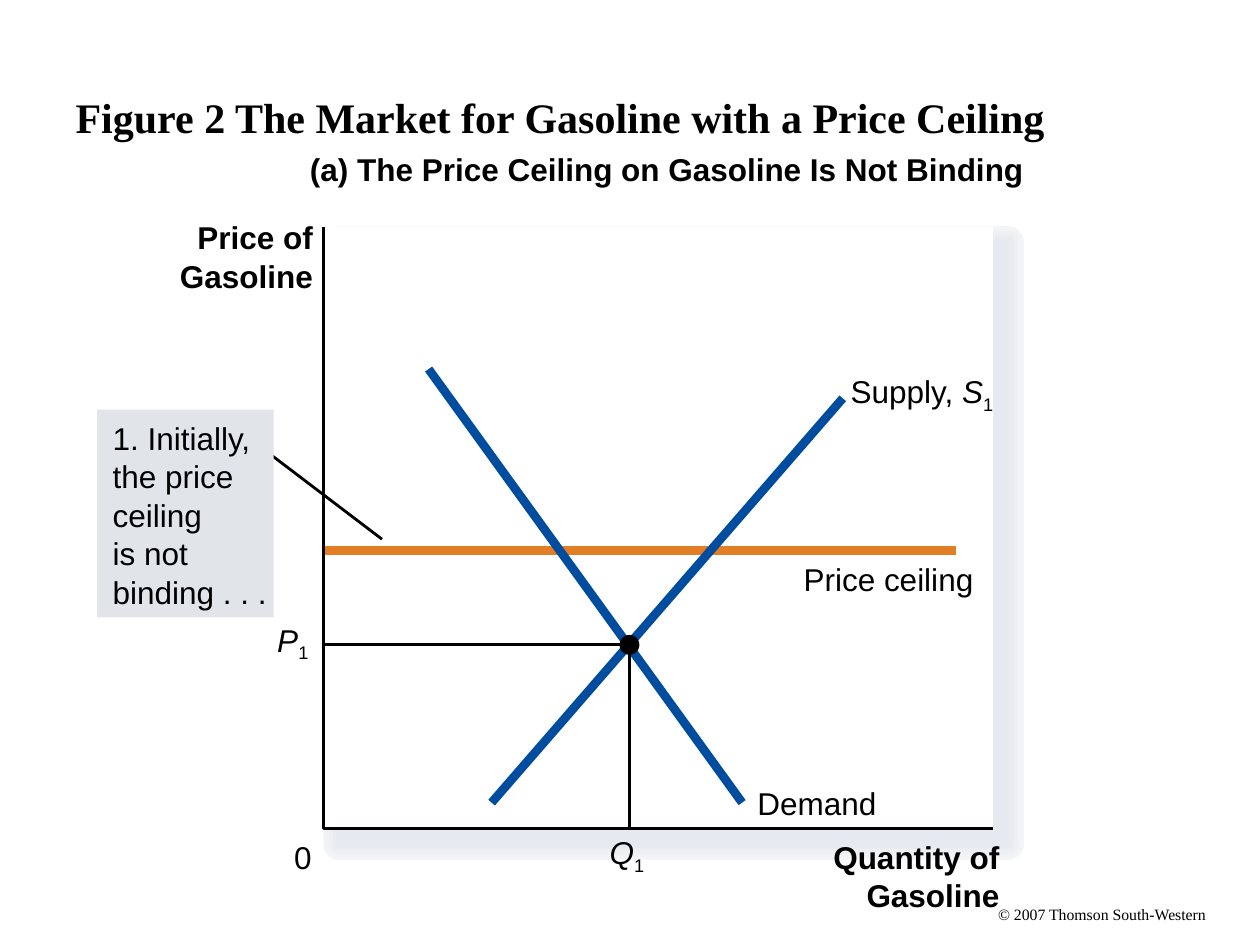
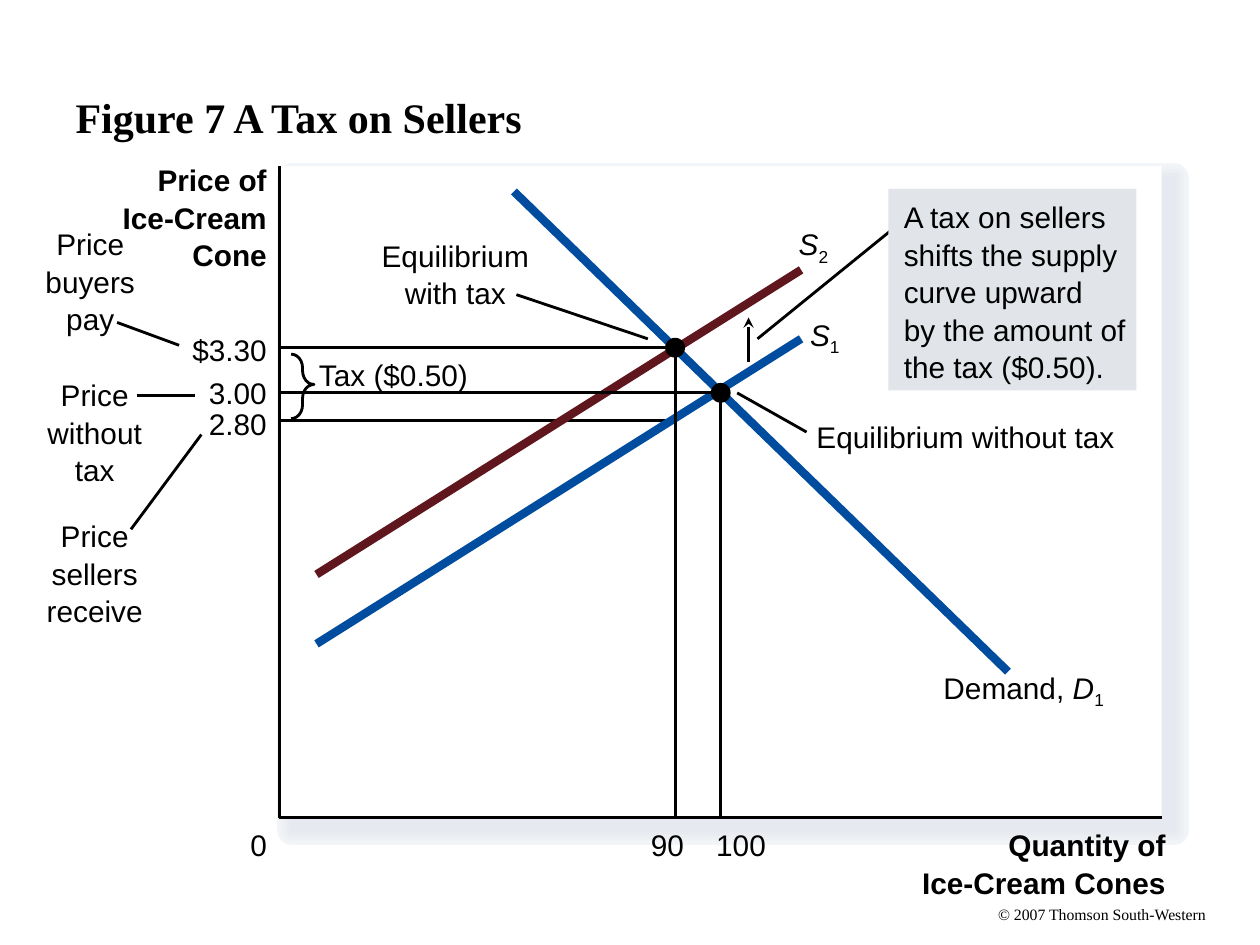
import functools

import lxml.etree
import pptx
import pptx.dml.color
import pptx.enum.shapes
import pptx.enum.text
import pptx.oxml.ns
import pptx.util

Cm = pptx.util.Cm
Pt = pptx.util.Pt
RGBColor = pptx.dml.color.RGBColor
MSO_SHAPE = pptx.enum.shapes.MSO_SHAPE
PP_ALIGN = pptx.enum.text.PP_ALIGN
qn = pptx.oxml.ns.qn

BLACK = RGBColor(0x00, 0x00, 0x00)
WHITE = RGBColor(0xFF, 0xFF, 0xFF)
BLUE = RGBColor(0x00, 0x4C, 0x9F)
MAROON = RGBColor(0x5F, 0x16, 0x1D)
ORANGE = RGBColor(0xE1, 0x7E, 0x26)
CALLOUT_GRAY = RGBColor(0xE1, 0xE5, 0xE9)
SHADOW_TINTS = [
    RGBColor.from_string(tint)
    for tint in ("F3F6F9", "F2F4F8", "F1F4F7", "F0F2F5", "EEF1F4", "EDEFF3",
                 "EBEEF2", "EAECF1", "E9EBF0", "E7EAEF", "E6E9EF")
]

THIN = 1.62
DOT_SIZE = 0.4
ANCHOR_SHARE = {PP_ALIGN.LEFT: 0, PP_ALIGN.CENTER: 0.5, PP_ALIGN.RIGHT: 1}


def style_paragraph(paragraph, size, font="Arial", bold=False,
                    align=PP_ALIGN.LEFT, pitch=None):
    paragraph.alignment = align
    if pitch:
        paragraph.line_spacing = Pt(pitch)
    paragraph.font.name = font
    paragraph.font.size = Pt(size)
    paragraph.font.bold = bold
    paragraph.font.color.rgb = BLACK


def fill_text(frame, text, left=0, top=0, **style):
    frame.word_wrap = True
    frame.vertical_anchor = pptx.enum.text.MSO_ANCHOR.TOP
    frame.margin_left, frame.margin_top = Cm(left), Cm(top)
    frame.margin_right = frame.margin_bottom = 0
    frame.text = text
    for paragraph in frame.paragraphs:
        style_paragraph(paragraph, **style)


def add_label(slide, text, x, y, width=4, align=PP_ALIGN.LEFT, **style):
    left = x - width * ANCHOR_SHARE[align]
    height = 0.8 * (text.count("\n") + 1)
    label = slide.shapes.add_textbox(Cm(left), Cm(y), Cm(width), Cm(height))
    fill_text(label.text_frame, text, align=align, **style)
    return label


def add_symbol(slide, prefix, letter, index, x, y, **style):
    label = add_label(slide, prefix, x, y, **style)
    paragraph = label.text_frame.paragraphs[0]
    variable = paragraph.add_run()
    variable.text = letter
    variable.font.italic = True
    subscript = paragraph.add_run()
    subscript.text = index
    subscript._r.get_or_add_rPr().set("baseline", "-25000")


def add_title(slide, text):
    title = slide.shapes.title
    title.left, title.top = Cm(1.27), Cm(0.76)
    title.width, title.height = Cm(22.86), Cm(3.18)
    title.text_frame.text = text
    title.text_frame.vertical_anchor = pptx.enum.text.MSO_ANCHOR.MIDDLE
    style_paragraph(title.text_frame.paragraphs[0], 24, "Times New Roman", True)


def add_copyright(slide):
    notice = add_label(slide, "© 2007 Thomson South-Western", 20.12, 18.24, 4.5,
                       size=9, font="Times New Roman")
    slide.slide_layout.shapes.element.append(notice.element)


def add_filled(slide, kind, x, y, width, height, color, outline=None):
    shape = slide.shapes.add_shape(kind, Cm(x), Cm(y), Cm(width), Cm(height))
    shape.shadow.inherit = False
    shape.fill.solid()
    shape.fill.fore_color.rgb = color
    if outline:
        shape.line.color.rgb = color
        shape.line.width = Pt(outline)
    else:
        shape.line.fill.background()
    return shape


def add_panel(slide, panel, offset, widest):
    x, y, width, height = panel
    step = (widest - THIN) / (len(SHADOW_TINTS) - 1)
    for layer, tint in enumerate(SHADOW_TINTS):
        add_filled(slide, MSO_SHAPE.RECTANGLE, x + offset, y + offset,
                   width, height, tint, widest - layer * step)
    add_filled(slide, MSO_SHAPE.RECTANGLE, *panel, WHITE)


def add_outline(slide, points):
    corners = [(Cm(x), Cm(y)) for x, y in points]
    builder = slide.shapes.build_freeform(*corners[0])
    builder.add_line_segments(corners[1:], close=False)
    outline = builder.convert_to_shape()
    outline.shadow.inherit = False
    outline.fill.background()
    outline.line.color.rgb = BLACK
    outline.line.width = Pt(THIN)


def add_axes(slide, panel):
    x, y, width, height = panel
    add_outline(slide, [(x, y), (x, y + height), (x + width, y + height)])


def add_equilibrium(slide, panel, x, y):
    left, top, _, height = panel
    add_outline(slide, [(x, top + height), (x, y), (left, y)])
    add_filled(slide, MSO_SHAPE.OVAL, x - DOT_SIZE / 2, y - DOT_SIZE / 2,
               DOT_SIZE, DOT_SIZE, BLACK)


def add_line(slide, start, end, color=BLACK, width=THIN, arrow=False):
    line = slide.shapes.add_connector(
        pptx.enum.shapes.MSO_CONNECTOR.STRAIGHT,
        *(Cm(value) for value in (*start, *end)))
    line.line.color.rgb = color
    line.line.width = Pt(width)
    properties = line.element.spPr
    if arrow:
        outline = properties.find(qn("a:ln"))
        lxml.etree.SubElement(outline, qn("a:tailEnd"), type="stealth")
    lxml.etree.SubElement(properties, qn("a:effectLst"))


def add_callout(slide, text, box, leader, **style):
    add_line(slide, *leader)
    callout = add_filled(slide, MSO_SHAPE.RECTANGLE, *box, CALLOUT_GRAY)
    fill_text(callout.text_frame, text, left=0.31, top=0.17, **style)


def add_brace(slide, x, y, width, height):
    brace = slide.shapes.add_shape(MSO_SHAPE.RIGHT_BRACE,
                                   Cm(x), Cm(y), Cm(width), Cm(height))
    brace.shadow.inherit = False
    brace.adjustments[0] = 0.6
    brace.adjustments[1] = 0.47
    brace.fill.background()
    brace.line.color.rgb = BLACK
    brace.line.width = Pt(THIN)


def build_price_ceiling(slide):
    panel = (6.53, 4.57, 13.49, 12.14)
    style = {"size": 18, "pitch": 22}
    label = functools.partial(add_label, slide, **style)
    symbol = functools.partial(add_symbol, slide, **style)
    right = functools.partial(label, align=PP_ALIGN.RIGHT)
    curve = functools.partial(add_line, slide, width=5)

    add_title(slide, "Figure 2 The Market for Gasoline with a Price Ceiling")
    add_panel(slide, panel, 0.3, 18.12)
    label("(a) The Price Ceiling on Gasoline Is Not Binding", 6.25, 3.02, 15,
          bold=True)
    right("Quantity of\nGasoline", 20.15, 16.87, bold=True)
    right("0", 6.28, 16.89, 1)
    right("Price of\nGasoline", 6.31, 4.39, bold=True)
    add_callout(slide, "1. Initially,\nthe price\nceiling\nis not\nbinding . . .",
                (1.96, 8.26, 3.56, 4.19), ((7.7, 10.87), (5.03, 8.84)), **style)
    curve((19.28, 11.1), (panel[0], 11.1), ORANGE)
    label("Price ceiling", 16.2, 11.28)
    curve((8.64, 7.44), (14.96, 16.18), BLUE)
    label("Demand", 15.27, 15.8)
    curve((9.91, 16.18), (16.99, 8.03), BLUE)
    symbol("Supply, ", "S", "1", 17.15, 7.59)
    add_equilibrium(slide, panel, 12.69, 13)
    symbol("", "P", "1", 5.59, 12.6, width=0.9)
    symbol("", "Q", "1", 12.29, 16.89, width=1)
    add_axes(slide, panel)


def build_seller_tax(slide):
    panel = (5.64, 3.35, 17.78, 13.13)
    style = {"size": 17, "pitch": 21.4}
    label = functools.partial(add_label, slide, **style)
    symbol = functools.partial(add_symbol, slide, **style)
    right = functools.partial(label, align=PP_ALIGN.RIGHT)
    center = functools.partial(label, align=PP_ALIGN.CENTER)
    curve = functools.partial(add_line, slide, width=4.75)
    price_edge, quantity_top = 5.38, 16.64

    add_title(slide, "Figure 7 A Tax on Sellers")
    add_panel(slide, panel, 0.25, 17.5)
    add_axes(slide, panel)
    add_line(slide, (15.09, 7.29), (15.09, 6.4), width=1.75, arrow=True)
    add_line(slide, (13.61, 8.48), (panel[0], 8.48))
    right("Quantity of\nIce-Cream Cones", 23.5, quantity_top, 6, bold=True)
    right("Price of\nIce-Cream\nCone", price_edge, 3.23, bold=True)

    for text, x, y, start, end in (
        ("Price\nbuyers\npay", 1.82, 4.52, (2.36, 6.5), (3.61, 6.96)),
        ("Price\nwithout\ntax", 1.91, 7.57, (2.77, 7.98), (3.94, 7.98)),
        ("Price\nsellers\nreceive", 1.91, 10.41, (2.64, 10.67), (4.06, 8.76)),
        ("Equilibrium\nwith tax", 9.18, 4.75, (10.41, 5.94), (13.06, 6.83)),
    ):
        add_line(slide, start, end)
        center(text, x, y, 3.4)

    add_line(slide, (14.86, 7.92), (16.26, 8.71))
    label("Equilibrium without tax", 16.46, 8.41, 7)
    add_brace(slide, 5.87, 7.14, 0.46, 1.3)
    label("Tax ($0.50)", 6.43, 7.16)

    curve((16.15, 6.83), (6.38, 12.98), BLUE)
    symbol("", "S", "1", 16.33, 6.45, width=1)
    curve((16.15, 5.44), (6.38, 11.58), MAROON)
    symbol("", "S", "2", 16.1, 4.62, width=1)
    curve((10.36, 3.86), (20.32, 13.54), BLUE)
    symbol("Demand, ", "D", "1", 19.02, 13.56)
    add_callout(slide, "A tax on sellers\nshifts the supply\ncurve upward\n"
                "by the amount of\nthe tax ($0.50).",
                (17.91, 3.81, 5, 4.06), ((15.27, 6.83), (18.24, 4.42)), **style)

    add_equilibrium(slide, panel, 14.53, 7.92)
    add_equilibrium(slide, panel, 13.61, 7.01)
    for price, y in (("$3.30", 6.65), ("3.00", 7.52), ("2.80", 8.15)):
        right(price, price_edge, y, 2)
    for quantity, edge in (("0", price_edge), ("90", 13.79), ("100", 15.44)):
        right(quantity, edge, quantity_top, 1.5)


def main():
    deck = pptx.Presentation()
    deck.slide_width, deck.slide_height = Cm(25.4), Cm(19.05)
    title_only = deck.slide_layouts[5]
    ceiling_slide = deck.slides.add_slide(title_only)
    tax_slide = deck.slides.add_slide(title_only)
    add_copyright(ceiling_slide)
    build_price_ceiling(ceiling_slide)
    build_seller_tax(tax_slide)
    deck.save("out.pptx")


if __name__ == "__main__":
    main()
